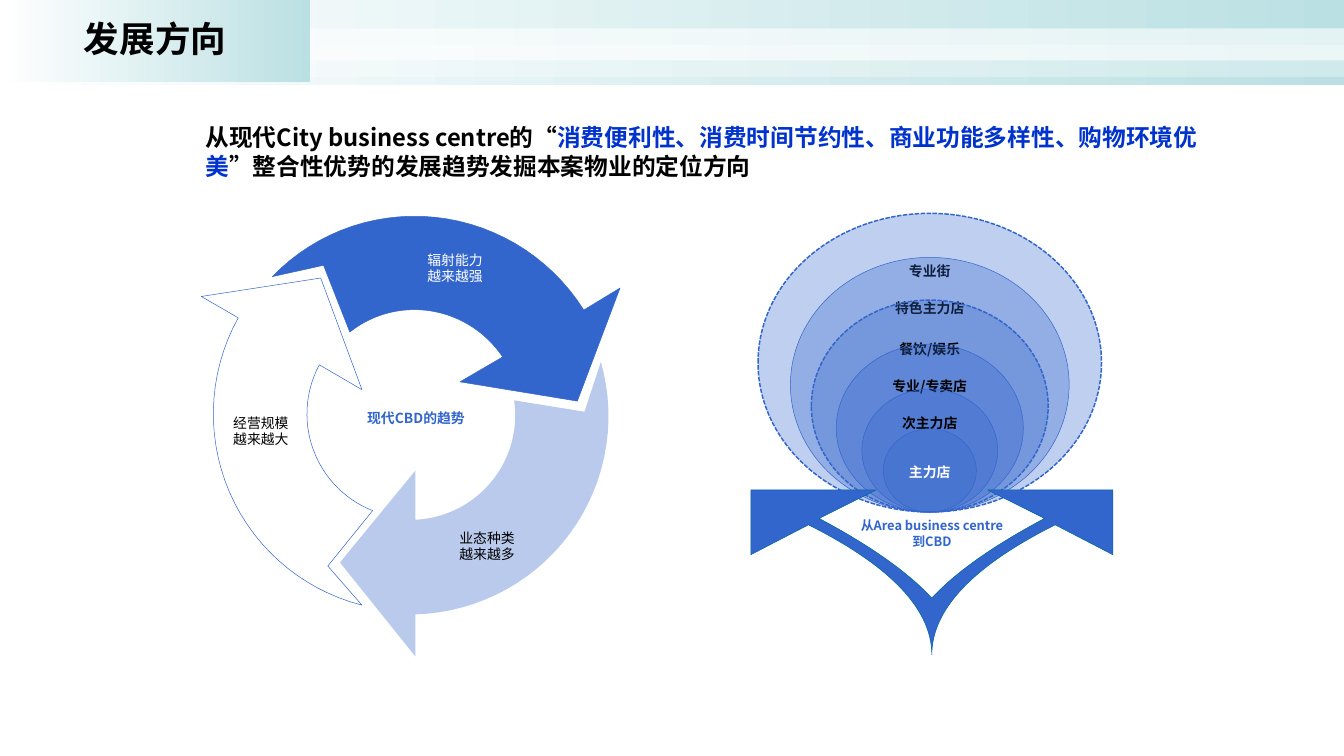
"""Build the development-direction slide: trend cycle and nested shop circles."""
import math

from lxml import etree
from pptx import Presentation
from pptx.dml.color import RGBColor
from pptx.enum.dml import MSO_LINE
from pptx.enum.shapes import MSO_SHAPE
from pptx.enum.text import MSO_ANCHOR, PP_ALIGN
from pptx.oxml.ns import qn
from pptx.util import Pt

RECT, OVAL = MSO_SHAPE.RECTANGLE, MSO_SHAPE.OVAL
MIDDLE, TOP = MSO_ANCHOR.MIDDLE, MSO_ANCHOR.TOP
CENTER, LEFT = PP_ALIGN.CENTER, PP_ALIGN.LEFT
DASH = MSO_LINE.SQUARE_DOT

FONT = "Noto Sans CJK SC"
WHITE = RGBColor(0xFF, 0xFF, 0xFF)
BLACK = RGBColor(0, 0, 0)
TEAL = RGBColor(0xBB, 0xE0, 0xE3)
BLUE = RGBColor(0x33, 0x66, 0xCC)
ACCENT = RGBColor(0x00, 0x33, 0xCC)
FORK_EDGE = RGBColor(0x00, 0x66, 0x99)

SLIDE_W, SLIDE_H = 1360.8, 765.4
BAND_H = 85.7
VEILS = [(28.8, 60), (45.4, 31)]
TITLE = "发展方向"
HEADING = [
    ("从现代City business centre的“", BLACK),
    ("消费便利性、消费时间节约性、商业功能多样性、购物环境优美", ACCENT),
    ("”整合性优势的发展趋势发掘本案物业的定位方向", BLACK),
]

CYCLE_CENTER = (416.2, 419.8)
CYCLE_ARROWS = [
    ([(608.4, 366.5), (591.8, 416.9), (520.6, 405.4)],
     [(420.5, 526.3), (420.5, 476.6), (344.2, 569.5), (420.5, 664.6), (420.5, 622.1)],
     BLUE, 34, None),
    ([(366.5, 612.7), (331.9, 573.1), (377.3, 517)],
     [(323.3, 369.4), (366.5, 394.6), (324.7, 281.5), (203.8, 300.2), (241.2, 321.8)],
     WHITE, 100, BLUE),
    ([(275.8, 280.1), (327.6, 268.6), (354.2, 336.2)],
     [(509, 361.4), (465.8, 386.6), (584.6, 406.1), (627.8, 291.6), (591.1, 313.9)],
     BLUE, 100, BLUE),
]
CAPTIONS = [
    (["业态种类", "越来越多"], 493.2, 553, 14, BLACK, False),
    (["经营规模", "越来越大"], 264.2, 436.4, 14, BLACK, False),
    (["辐射能力", "越来越强"], 460.8, 271.6, 14, WHITE, False),
    (["现代CBD的趋势"], 421.2, 423, 14, BLUE, True),
    (["从Area business centre", "到CBD"], 943.6, 540, 13, BLUE, True),
]

SHOPS_X, SHOPS_BOTTOM = 941.4, 518.4
SHOPS = [
    ("专业街", 347.8, 302.4, 266.5, BLACK, True),
    ("特色主力店", 282.2, 257.8, 304, BLACK, False),
    ("餐饮/娱乐", 239.8, 214.6, 345.5, BLACK, True),
    ("专业/专卖店", 189.4, 169.9, 383, BLACK, False),
    ("次主力店", 137.5, 124.6, 420.5, BLACK, False),
    ("主力店", 94.3, 84.2, 470.1, WHITE, False),
]
OVAL_TEXT_INSET = (1 - math.sqrt(0.5)) / 2

FORK_AXIS = 943.5
FORK_OUTER = [(943.5, 663.1), (943.5, 594), (818.6, 531.4)]
FORK_HEAD = [(760.3, 561.6), (760.3, 496.1), (887, 496.1)]
FORK_INNER = [(829.4, 524.9), (907.2, 566.3), (943.5, 605.5)]
STEPS = 30


def paint(shape, color, opacity=100, edge=None, width=0.5):
    shape.shadow.inherit = False
    shape.fill.solid()
    shape.fill.fore_color.rgb = color
    if opacity < 100:
        tone = shape.fill._xPr.find(qn("a:solidFill"))[0]
        etree.SubElement(tone, qn("a:alpha")).set("val", str(opacity * 1000))
    if edge is None:
        shape.line.fill.background()
    else:
        shape.line.color.rgb = edge
        shape.line.width = Pt(width)


def fade(shape):
    shape.fill.gradient()
    shape.fill.gradient_angle = 0
    for stop, color in zip(shape.fill.gradient_stops, (WHITE, TEAL)):
        stop.color.rgb = color
    shape.line.fill.background()


def write(paragraph, text, size, color, bold):
    run = paragraph.add_run()
    run.text = text
    font = run.font
    font.size, font.bold, font.name = Pt(size), bold, FONT
    font.color.rgb = color
    etree.SubElement(run._r.get_or_add_rPr(), qn("a:ea")).set("typeface", FONT)


def set_frame(frame, anchor, wrap, margin=3.6):
    frame.word_wrap = wrap
    frame.vertical_anchor = anchor
    frame.margin_left = frame.margin_right = Pt(margin)
    frame.margin_top = frame.margin_bottom = Pt(3.6)


def add_rect(shapes, kind, x, y, w, h):
    return shapes.add_shape(kind, Pt(x), Pt(y), Pt(w), Pt(h))


def add_outline(shapes, points):
    corners = [(Pt(x), Pt(y)) for x, y in points]
    builder = shapes.build_freeform(*corners[0])
    builder.add_line_segments(corners[1:], close=True)
    return builder.convert_to_shape()


def ring_arc(start, end):
    cx, cy = CYCLE_CENTER
    (a0, r0), (a1, r1) = [
        (math.atan2(y - cy, x - cx), math.hypot(x - cx, y - cy)) for x, y in (start, end)]
    turn = math.remainder(a1 - a0, math.tau)
    arc = []
    for i in range(1, STEPS):
        t = i / STEPS
        angle, radius = a0 + turn * t, r0 + (r1 - r0) * t
        arc.append((cx + radius * math.cos(angle), cy + radius * math.sin(angle)))
    return arc


def bezier(start, control, end):
    return [
        tuple((1 - t) ** 2 * a + 2 * t * (1 - t) * b + t * t * c
              for a, b, c in zip(start, control, end))
        for t in (i / STEPS for i in range(STEPS + 1))]


def add_header(shapes):
    band = add_rect(shapes, RECT, 0, 0, SLIDE_W, BAND_H)
    band.shadow.inherit = False
    fade(band)
    for y, opacity in VEILS:
        paint(add_rect(shapes, RECT, 0, y, SLIDE_W, 32.4), WHITE, opacity)
    title = shapes.title
    shapes.element.append(title.element)
    title.left, title.top, title.width, title.height = Pt(0), Pt(0), Pt(313.9), Pt(82.8)
    fade(title)
    set_frame(title.text_frame, MIDDLE, True, 7.2)
    line = title.text_frame.paragraphs[0]
    line.alignment, line.line_spacing = CENTER, 0.9
    write(line, TITLE, 36, BLACK, True)


def add_heading(shapes):
    box = shapes.add_textbox(Pt(200.9), Pt(120.2), Pt(1033), Pt(64.8))
    set_frame(box.text_frame, TOP, True, 7.2)
    line = box.text_frame.paragraphs[0]
    line.alignment, line.line_spacing = LEFT, Pt(29.4)
    for text, color in HEADING:
        write(line, text, 24, color, True)


def add_caption(shapes, lines, cx, cy, size, color, bold):
    box = shapes.add_textbox(Pt(cx - 100), Pt(cy - 28), Pt(200), Pt(56))
    frame = box.text_frame
    set_frame(frame, MIDDLE, True)
    for i, text in enumerate(lines):
        line = frame.add_paragraph() if i else frame.paragraphs[0]
        line.alignment, line.line_spacing = CENTER, Pt(16.2)
        write(line, text, size, color, bold)


def add_shop(shapes, label, w, h, label_top, color, dashed):
    top = SHOPS_BOTTOM - h
    shop = add_rect(shapes, OVAL, SHOPS_X - w / 2, top, w, h)
    paint(shop, BLUE, 31, BLUE, 1.5 if dashed else 0.5)
    if dashed:
        shop.line.dash_style = DASH
    frame = shop.text_frame
    set_frame(frame, TOP, False)
    frame.margin_top = Pt(label_top - top - h * OVAL_TEXT_INSET)
    line = frame.paragraphs[0]
    line.alignment, line.line_spacing = CENTER, Pt(16.2)
    write(line, label, 14, color, True)


def main():
    deck = Presentation()
    deck.slide_width, deck.slide_height = Pt(SLIDE_W), Pt(SLIDE_H)
    shapes = deck.slides.add_slide(deck.slide_layouts[5]).shapes
    add_header(shapes)
    add_heading(shapes)
    for tail, head, color, opacity, edge in CYCLE_ARROWS:
        points = tail + ring_arc(tail[-1], head[0]) + head + ring_arc(head[-1], tail[0])
        paint(add_outline(shapes, points), color, opacity, edge)
    for caption in CAPTIONS:
        add_caption(shapes, *caption)
    for shop in SHOPS:
        add_shop(shapes, *shop)
    half = bezier(*FORK_OUTER) + FORK_HEAD + bezier(*FORK_INNER)
    mirrored = [(2 * FORK_AXIS - x, y) for x, y in reversed(half)]
    paint(add_outline(shapes, half + mirrored[1:-1]), BLUE, 100, FORK_EDGE)
    deck.save("out.pptx")


if __name__ == "__main__":
    main()
